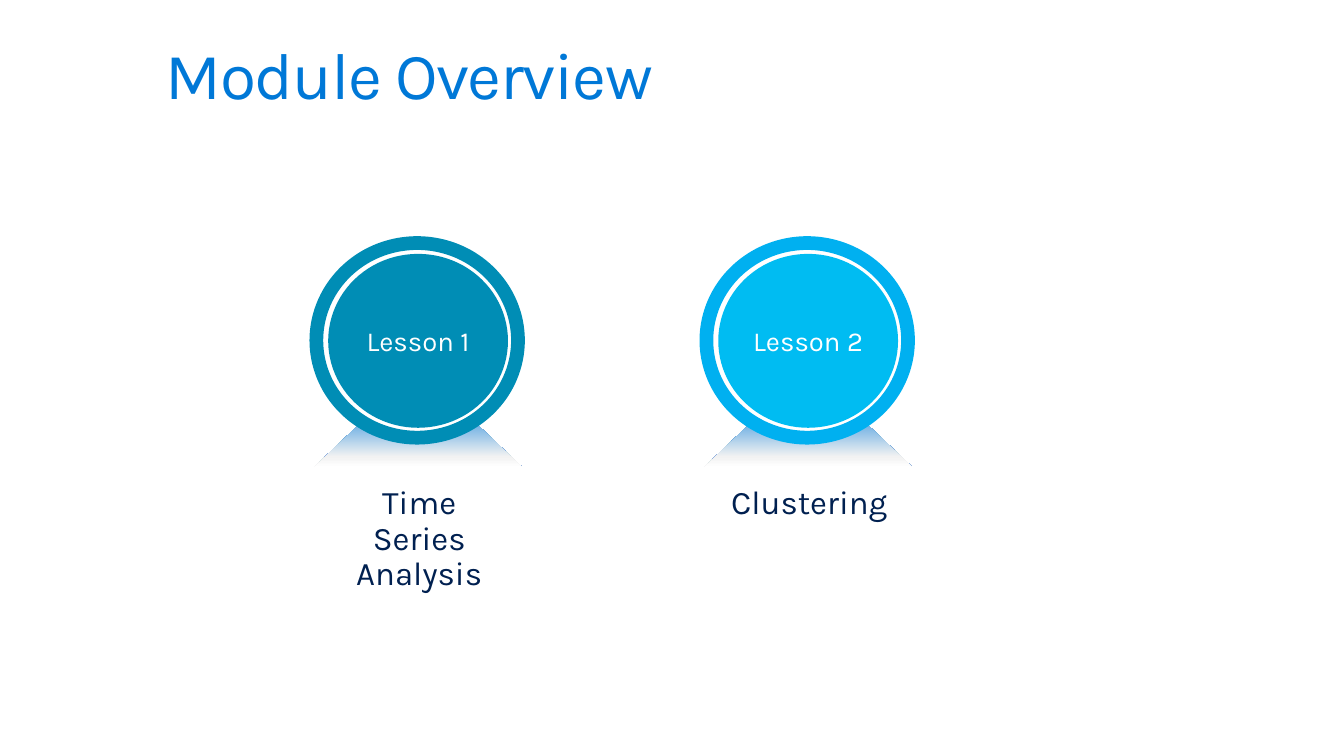
from copy import deepcopy
from pptx import Presentation
from pptx.dml.color import RGBColor
from pptx.enum.shapes import MSO_SHAPE
from pptx.enum.text import MSO_ANCHOR, MSO_AUTO_SIZE, PP_ALIGN
from pptx.oxml.ns import qn
from pptx.util import Pt

HUES = {
    "blue": "0078D7", "navy": "002050", "white": "FFFFFF", "grey": "F2F2F2",
    "teal": "008DB5", "sky": "00BCF2", "rim": "00B0F0",
}


def hue(name):
    return RGBColor.from_string(HUES[name])


def write(frame, text, size, color, align, pad):
    """Fill a text frame with one run; pad is (side, top and bottom)."""
    frame.word_wrap = True
    frame.margin_left = frame.margin_right = Pt(pad[0])
    frame.margin_top = frame.margin_bottom = Pt(pad[1])
    para = frame.paragraphs[0]
    para.alignment = align
    run = para.add_run()
    run.text = text
    run.font.name = "Karla"
    run.font.size = Pt(size)
    run.font.color.rgb = hue(color)
    return para, run


deck = Presentation()
deck.slide_width, deck.slide_height = Pt(979.2), Pt(550.8)
slide = deck.slides.add_slide(deck.slide_layouts[5])
shapes = slide.shapes

# Title
title = shapes.title
title.left, title.top, title.width, title.height = Pt(109.4), Pt(23.8), Pt(936), Pt(72)
frame = title.text_frame
frame.auto_size = MSO_AUTO_SIZE.NONE
frame.vertical_anchor = MSO_ANCHOR.TOP
para, run = write(frame, "Module Overview", 48, "blue", PP_ALIGN.LEFT, (11.5, 7.2))
para.line_spacing = 0.9
run._r.get_or_add_rPr().set("spc", "-100")

# Lessons: topic, rim colour, disc colour, label height
lessons = [
    ("Time Series Analysis", "teal", "teal", 67),
    ("Clustering", "rim", "sky", 41),
]
for i, (topic, rim, core, high) in enumerate(lessons):
    left = 230.5 + 284.2 * i

    # Fading stand
    stand = shapes.add_shape(MSO_SHAPE.TRAPEZOID, Pt(left - 1.8), Pt(288.7), Pt(152), Pt(51.8))
    stand.adjustments[0] = 1.056
    stand.fill.gradient()
    stand.fill.gradient_angle = 270
    stops = stand._element.spPr.find(".//" + qn("a:gsLst"))
    stops.append(deepcopy(stops[-1]))
    fade = [(0, "blue"), (0.85, "grey"), (1, "white")]
    for stop, (place, tint) in zip(stand.fill.gradient_stops, fade):
        stop.position = place
        stop.color.rgb = hue(tint)

    # Ring and disc
    ring = shapes.add_shape(MSO_SHAPE.OVAL, Pt(left), Pt(177.1), Pt(146.9), Pt(141.8))
    disc = shapes.add_shape(MSO_SHAPE.OVAL, Pt(left + 8.6), Pt(185), Pt(131), Pt(126.7))
    for oval, color in ((ring, "white"), (disc, core)):
        oval.fill.solid()
        oval.fill.fore_color.rgb = hue(color)
    ring.line.color.rgb = hue(rim)
    ring.line.width = Pt(10)
    for part in (stand, disc):
        part.line.fill.background()
    for part in (stand, ring, disc):
        part.shadow.inherit = False
    disc.text_frame.vertical_anchor = MSO_ANCHOR.MIDDLE
    write(disc.text_frame, f"Lesson {i + 1}", 20, "white", PP_ALIGN.CENTER, (0, 3.6))

    # Topic
    label = shapes.add_textbox(Pt(left), Pt(347), Pt(149.8), Pt(high))
    label.text_frame.auto_size = MSO_AUTO_SIZE.SHAPE_TO_FIT_TEXT
    para, run = write(label.text_frame, topic, 24, "navy", PP_ALIGN.CENTER, (11.5, 7.2))
    para.line_spacing = 0.9

deck.save("out.pptx")
